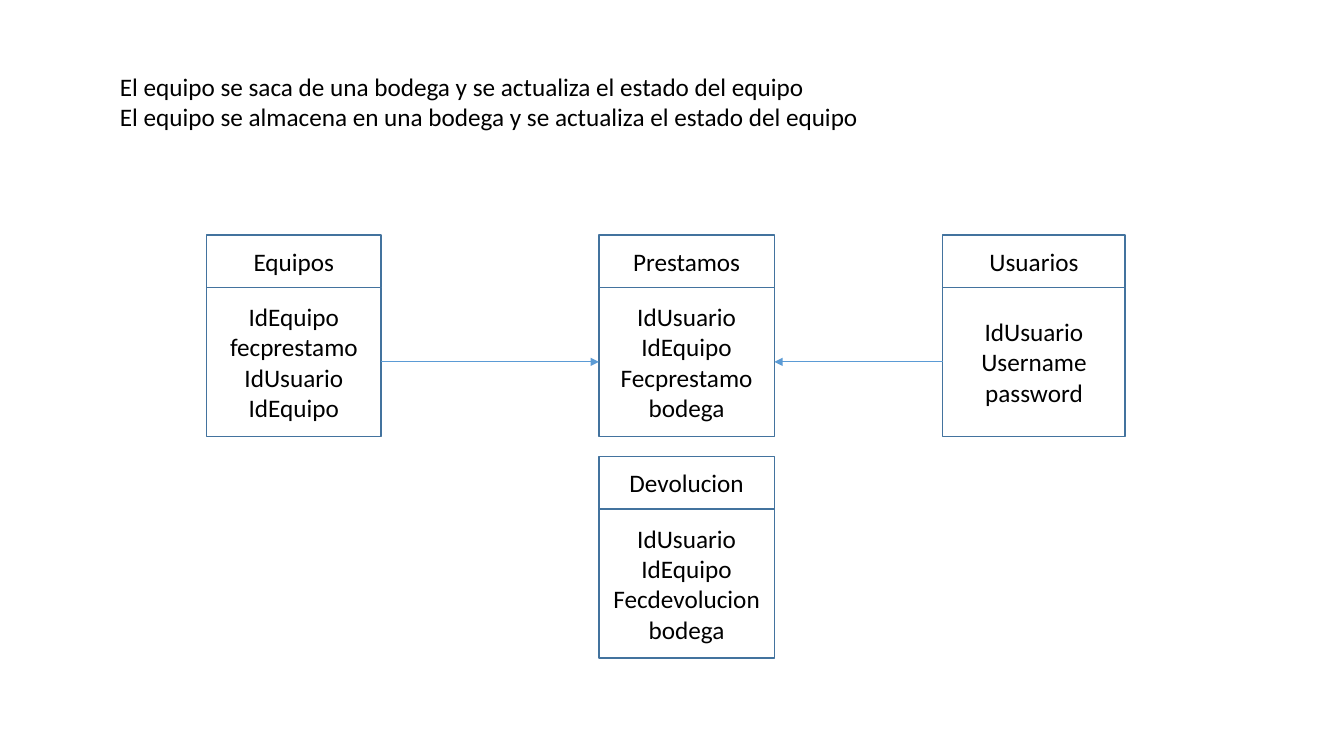
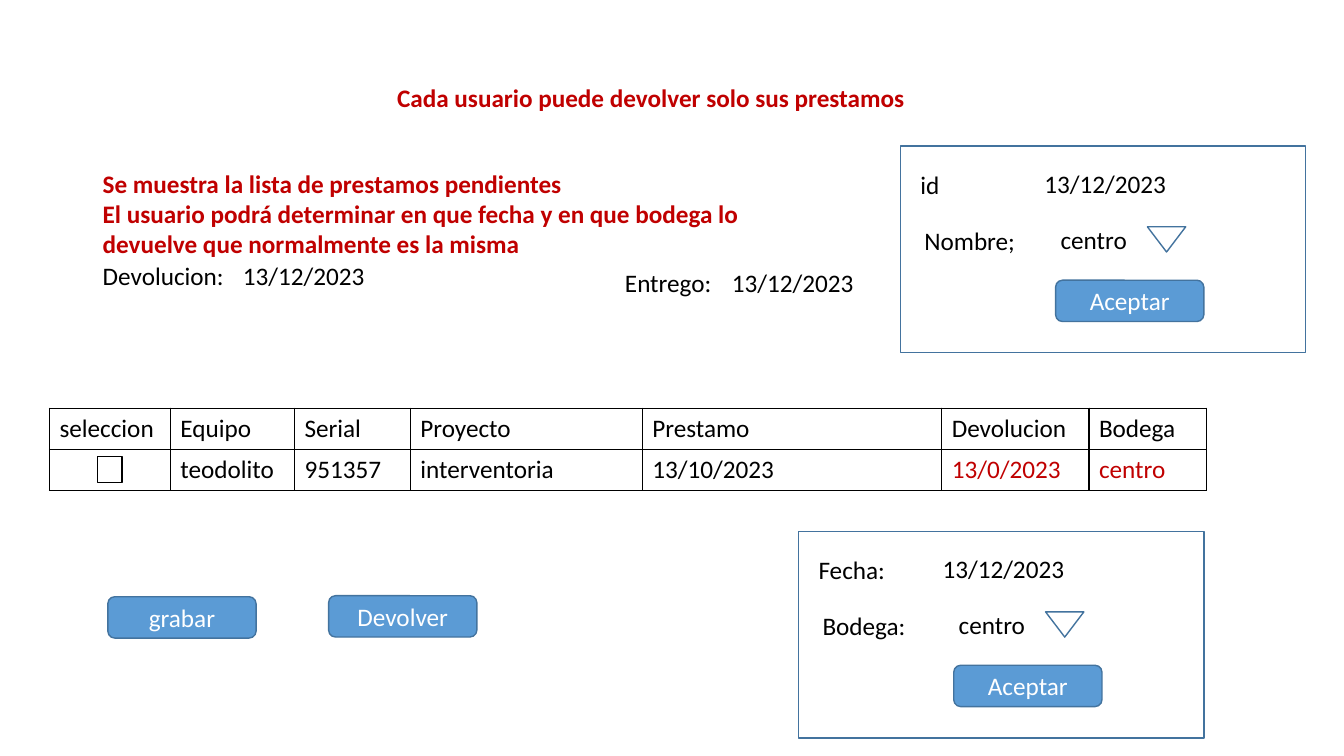
"""Build two slides on equipment loans: the data entities and the return screen."""
from lxml.etree import SubElement
from pptx import Presentation
from pptx.dml.color import RGBColor
from pptx.enum.shapes import MSO_CONNECTOR, MSO_SHAPE
from pptx.enum.text import MSO_ANCHOR, MSO_AUTO_SIZE, PP_ALIGN
from pptx.oxml.ns import qn
from pptx.util import Inches, Pt

BLACK = RGBColor(0x00, 0x00, 0x00)
WHITE = RGBColor(0xFF, 0xFF, 0xFF)
RED = RGBColor(0xC0, 0x00, 0x00)
BLUE = RGBColor(0x5B, 0x9B, 0xD5)
DARK_BLUE = RGBColor(0x43, 0x73, 0x9E)


def write(frame, text, color=BLACK, bold=False, align=PP_ALIGN.LEFT):
    frame.word_wrap = True
    frame.text = text
    for paragraph in frame.paragraphs:
        paragraph.alignment = align
        font = paragraph.font
        font.name, font.size, font.bold = "Calibri", Pt(18), bold
        font.color.rgb = color


def add_box(shapes, place, text="", kind=None, fill=WHITE, line=DARK_BLUE, color=BLACK, bold=False):
    bounds = [Inches(value) for value in place]
    if kind is None:
        box = shapes.add_textbox(*bounds)
        write(box.text_frame, text, color=color, bold=bold)
        box.text_frame.auto_size = MSO_AUTO_SIZE.SHAPE_TO_FIT_TEXT
        return box
    box = shapes.add_shape(kind, *bounds)
    box.shadow.inherit = False
    box.fill.solid()
    box.fill.fore_color.rgb = fill
    box.line.color.rgb = line
    box.line.width = Pt(1)
    if text:
        write(box.text_frame, text, color=color, bold=bold, align=PP_ALIGN.CENTER)
        box.text_frame.vertical_anchor = MSO_ANCHOR.MIDDLE
    return box


deck = Presentation()
deck.slide_width, deck.slide_height = Inches(13.33), Inches(7.5)
blank = deck.slide_layouts[6]

model = deck.slides.add_slide(blank).shapes
add_box(model, (1.09, 0.66, 11.08, 0.71),
        "El equipo se saca de una bodega y se actualiza el estado del equipo\n"
        "El equipo se almacena en una bodega y se actualiza el estado del equipo")

HEAD, BODY = 0.52, 1.48
entities = [
    ("Equipos", 2.05, 2.33, 1.73, "IdEquipo\nfecprestamo\nIdUsuario\nIdEquipo"),
    ("Prestamos", 5.94, 2.33, 1.74, "IdUsuario\nIdEquipo\nFecprestamo\nbodega"),
    ("Usuarios", 9.35, 2.33, 1.81, "IdUsuario\nUsername\npassword"),
    ("Devolucion", 5.94, 4.53, 1.74, "IdUsuario\nIdEquipo\nFecdevolucion\nbodega"),
]
field_lists = {}
for entity, left, top, width, fields in entities:
    group = model.add_group_shape().shapes
    add_box(group, (left, top, width, HEAD), entity, MSO_SHAPE.RECTANGLE)
    field_lists[entity] = add_box(group, (left, top + HEAD, width, BODY), fields, MSO_SHAPE.RECTANGLE)

for origin, origin_side, target_side in [("Equipos", 3, 1), ("Usuarios", 1, 3)]:
    relation = model.add_connector(MSO_CONNECTOR.STRAIGHT, 0, 0, 0, 0)
    relation.begin_connect(field_lists[origin], origin_side)
    relation.end_connect(field_lists["Prestamos"], target_side)
    relation.line.color.rgb = BLUE
    relation.line.width = Pt(0.5)
    SubElement(relation.line._get_or_add_ln(), qn("a:tailEnd"), type="triangle")
    SubElement(relation._element.spPr, qn("a:effectLst"))

screen = deck.slides.add_slide(blank).shapes
add_box(screen, (3.84, 0.77, 7, 0.4), "Cada usuario puede devolver solo sus prestamos", color=RED, bold=True)
add_box(screen, (0.92, 1.62, 7, 1.01),
        "Se muestra la lista de prestamos pendientes\n"
        "El usuario podrá determinar en que fecha y en que bodega lo devuelve que normalmente es la misma",
        color=RED, bold=True)
for text, left, top, width in [
    ("Devolucion:", 0.92, 2.53, 1.41),
    ("13/12/2023", 2.31, 2.53, 1.5),
    ("Entrego:", 6.1, 2.6, 1.41),
    ("13/12/2023", 7.16, 2.6, 1.5),
]:
    add_box(screen, (left, top, width, 0.4), text)

ROW = 0.41
loan_tables = [
    ([1.2], [["seleccion"], [""]], BLACK),
    ([1.23, 1.15, 2.3, 2.97],
     [["Equipo", "Serial", "Proyecto", "Prestamo"],
      ["teodolito", "951357", "interventoria", "13/10/2023"]], BLACK),
    ([1.46], [["Devolucion"], ["13/0/2023"]], RED),
    ([1.17], [["Bodega"], ["centro"]], RED),
]
left = 0.49
for widths, rows, value_color in loan_tables:
    loans = screen.add_table(len(rows), len(widths), Inches(left), Inches(4.05),
                             Inches(sum(widths)), Inches(ROW * len(rows))).table
    loans.first_row = loans.horz_banding = False
    left += sum(widths)
    for column, width in zip(loans.columns, widths):
        column.width = Inches(width)
    for row_index, values in enumerate(rows):
        loans.rows[row_index].height = Inches(ROW)
        for column_index, value in enumerate(values):
            cell = loans.cell(row_index, column_index)
            write(cell.text_frame, value, color=value_color if row_index else BLACK)
            properties = cell._tc.get_or_add_tcPr()
            for edge in ("a:lnL", "a:lnR", "a:lnT", "a:lnB"):
                border = SubElement(properties, qn(edge), w=str(Pt(1)))
                SubElement(SubElement(border, qn("a:solidFill")), qn("a:srgbClr"), val=str(BLACK))
            cell.fill.background()

add_box(screen, (0.97, 4.53, 0.24, 0.26), kind=MSO_SHAPE.RECTANGLE, line=BLACK)
for action, left, top in [("grabar", 1.07, 5.92), ("Devolver", 3.26, 5.91)]:
    add_box(screen, (left, top, 1.47, ROW), action, MSO_SHAPE.ROUNDED_RECTANGLE, fill=BLUE, color=WHITE)

for left, top, first_label, second_label in [
    (7.92, 5.27, "Fecha:", "Bodega:"),
    (8.93, 1.45, "id", "Nombre;"),
]:
    panel = screen.add_group_shape().shapes
    add_box(panel, (left, top, 4.02, 2.05), kind=MSO_SHAPE.RECTANGLE)
    for text, across, down, width in [
        (first_label, 0.1, 0.18, 1.59),
        ("13/12/2023", 1.33, 0.17, 1.5),
        (second_label, 0.14, 0.74, 1.2),
        ("centro", 1.49, 0.73, 1.59),
    ]:
        add_box(panel, (left + across, top + down, width, 0.4), text)
    dropdown = add_box(panel, (left + 2.45, top + 0.8, 0.38, 0.25), kind=MSO_SHAPE.ISOSCELES_TRIANGLE)
    dropdown.rotation = 180
    add_box(panel, (left + 1.54, top + 1.33, 1.47, ROW), "Aceptar",
            MSO_SHAPE.ROUNDED_RECTANGLE, fill=BLUE, color=WHITE)

deck.save("out.pptx")
